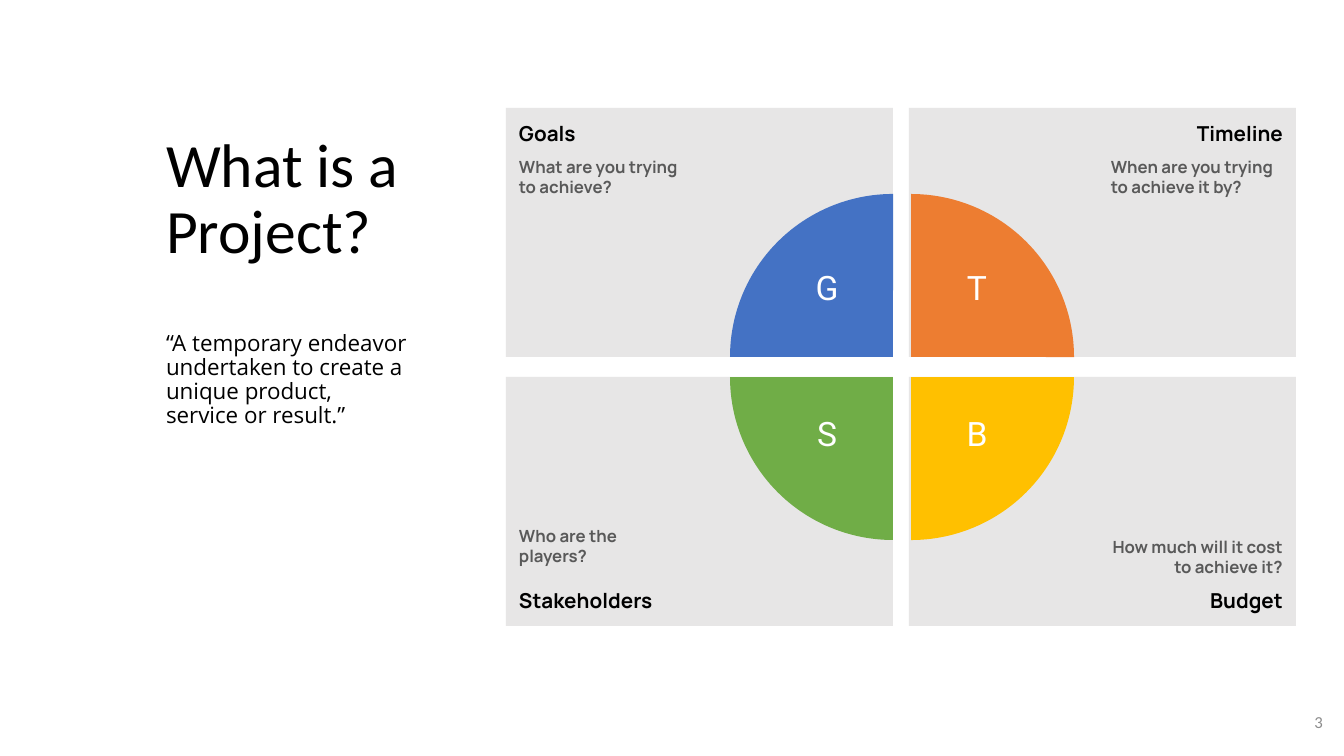
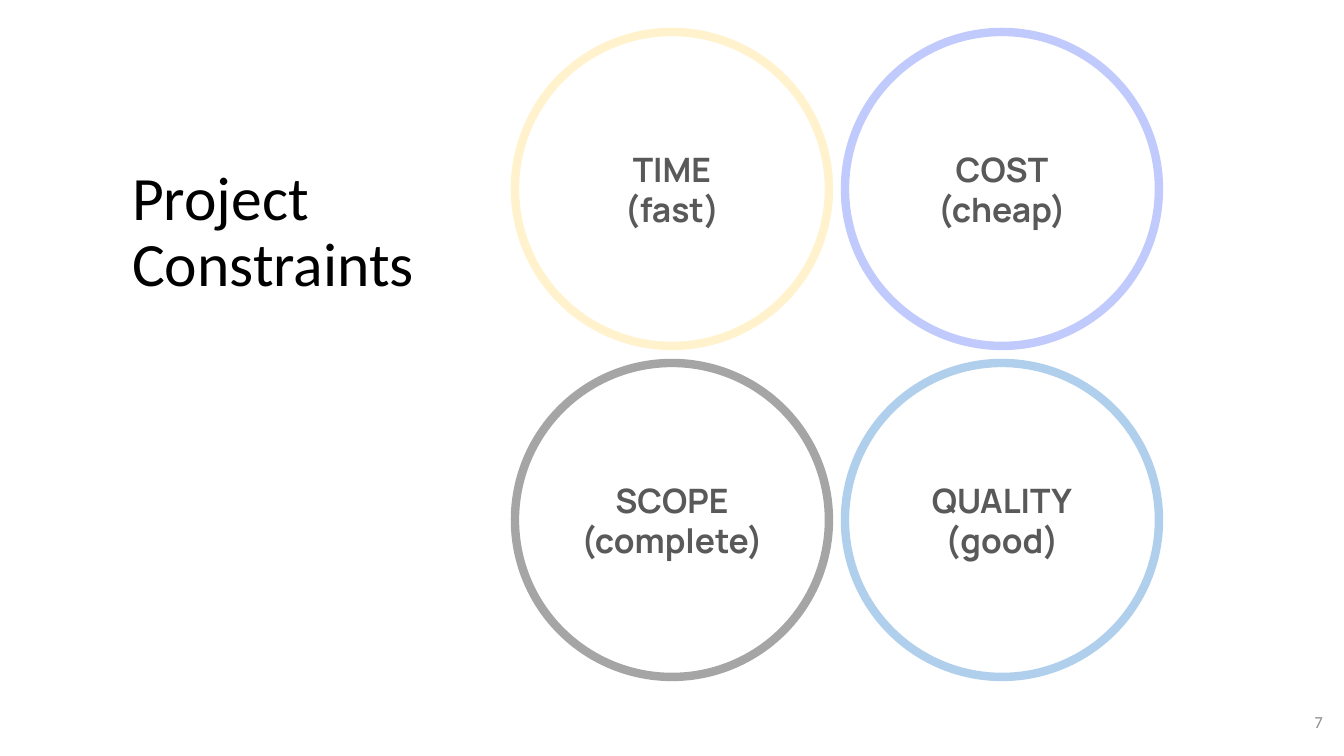
"""Build two slides on what a project is and what constrains it."""
from lxml import etree
from pptx import Presentation
from pptx.dml.color import RGBColor
from pptx.enum.shapes import MSO_SHAPE
from pptx.enum.text import MSO_ANCHOR, MSO_AUTO_SIZE, PP_ALIGN
from pptx.oxml.ns import qn
from pptx.util import Pt

RECT, PIE, OVAL = MSO_SHAPE.RECTANGLE, MSO_SHAPE.PIE, MSO_SHAPE.OVAL
TOP, MIDDLE, BOTTOM = MSO_ANCHOR.TOP, MSO_ANCHOR.MIDDLE, MSO_ANCHOR.BOTTOM
LEFT, CENTER, RIGHT = PP_ALIGN.LEFT, PP_ALIGN.CENTER, PP_ALIGN.RIGHT
FIXED = MSO_AUTO_SIZE.NONE

BLACK = RGBColor(0x00, 0x00, 0x00)
WHITE = RGBColor(0xFF, 0xFF, 0xFF)
DARK = RGBColor(0x59, 0x59, 0x59)
GREY = RGBColor(0x8C, 0x8C, 0x8C)
PALE = RGBColor(0xE7, 0xE6, 0xE6)
BLUE = RGBColor(0x44, 0x72, 0xC4)
ORANGE = RGBColor(0xED, 0x7D, 0x31)
GOLD = RGBColor(0xFF, 0xC0, 0x00)
GREEN = RGBColor(0x70, 0xAD, 0x47)
CREAM = RGBColor(0xFF, 0xF2, 0xCC)
LILAC = RGBColor(0xC0, 0xCA, 0xFC)
SILVER = RGBColor(0xA5, 0xA5, 0xA5)
SKY = RGBColor(0xAF, 0xCF, 0xEC)

WIDE, HIGH = 1344, 756
SCALE = 12192000 / WIDE
INSET = 13


def box(*sides):
    """Turn lengths in px into EMU."""
    return [round(side * SCALE) for side in sides]


def write(shape, lines, face, anchor=TOP, pads=(INSET,) * 4):
    """Fill a shape with (text, size, colour, bold, align, before, after) lines."""
    frame = shape.text_frame
    frame.word_wrap = True
    frame.auto_size = FIXED
    frame.vertical_anchor = anchor
    (frame.margin_left, frame.margin_top,
     frame.margin_right, frame.margin_bottom) = box(*pads)
    frame.text = "\n".join(line[0] for line in lines)
    for para, line in zip(frame.paragraphs, lines):
        _, size, color, bold, para.alignment, before, after = line
        para.space_before, para.space_after = Pt(before), Pt(after)
        font = para.font
        font.name, font.size, font.bold = face, Pt(size), bold
        font.color.rgb = color


deck = Presentation()
deck.slide_width, deck.slide_height = box(WIDE, HIGH)

pages = []
for layout, title, place, number in (
    (1, "What is a Project?", (153, 121, 270, 197), "3"),
    (5, "Project Constraints", (119, 154, 322, 280), "7"),
):
    slide = deck.slides.add_slide(deck.slide_layouts[layout])
    head = slide.shapes.title
    head.left, head.top, head.width, head.height = box(*place)
    write(head, [(title, 44, BLACK, False, LEFT, 0, 0)], "Calibri")
    head.text_frame.paragraphs[0].line_spacing = 0.9
    foot = slide.shapes.add_textbox(*box(1255, 699, 81, 57))
    write(foot, [(number, 12, GREY, False, RIGHT, 0, 0)], "Calibri")
    pages.append(slide)
first, second = pages

quote = first.placeholders[1]
quote.left, quote.top, quote.width, quote.height = box(153, 319, 270, 274)
words = "“A temporary endeavor undertaken to create a unique product, service or result.”"
write(quote, [(words, 16, BLACK, False, LEFT, 0, 0)], "Open Sans")
para = quote.text_frame.paragraphs[0]
para.line_spacing = 0.9
props = para._p.get_or_add_pPr()
props.set("marL", "0")
props.set("indent", "0")
etree.SubElement(props, qn("a:buNone")) if props.find(qn("a:defRPr")) is None else \
    props.find(qn("a:defRPr")).addprevious(etree.Element(qn("a:buNone")))

panels = (
    (0, 0, TOP, (("Goals", 14.7, BLACK, True, LEFT, 0, 0),
                 ("What are you trying to achieve?", 12, DARK, True, LEFT, 8, 8))),
    (1, 0, TOP, (("Timeline", 14.7, BLACK, True, RIGHT, 0, 0),
                 ("When are you trying to achieve it by?", 12, DARK, True, LEFT, 8, 8))),
    (0, 1, BOTTOM, (("Who are the\vplayers?", 12, DARK, True, LEFT, 8, 8),
                    ("Stakeholders", 14.7, BLACK, True, LEFT, 8, 8))),
    (1, 1, BOTTOM, (("How much will it cost to achieve it?", 12, DARK, True, RIGHT, 0, 0),
                    ("Budget", 14.7, BLACK, True, RIGHT, 8, 8))),
)
for col, row, anchor, lines in panels:
    panel = first.shapes.add_shape(RECT, *box(506 + 403 * col, 108 + 269 * row, 387, 249))
    panel.shadow.inherit = False
    panel.fill.solid()
    panel.fill.fore_color.rgb = PALE
    panel.line.fill.background()
    pads = (202, INSET, INSET, INSET) if col else (INSET, INSET, 202, INSET)
    write(panel, lines, "Manrope", anchor, pads)

wedges = (("G", BLUE, 0, 0), ("T", ORANGE, 1, 0), ("B", GOLD, 1, 1), ("S", GREEN, 0, 1))
for turn, (_, color, col, row) in enumerate(wedges):
    wedge = first.shapes.add_shape(PIE, *box(730 + 18 * col, 194 + 20 * row, 326, 326))
    wedge.adjustments[0], wedge.adjustments[1] = 108, 162
    wedge.rotation = 90 * turn
    wedge.shadow.inherit = False
    wedge.fill.solid()
    wedge.fill.fore_color.rgb = color
    wedge.line.fill.background()
for letter, _, col, row in wedges:
    label = first.shapes.add_textbox(*box(785 + 150 * col, 262 + 146 * row, 84, 60))
    write(label, [(letter, 24, WHITE, False, CENTER, 0, 0)], "Roboto", pads=(10, 5, 10, 5))

limits = (
    ("TIME", "(fast)", CREAM, 0, 0),
    ("COST", "(cheap)", LILAC, 1, 0),
    ("QUALITY", "(good)", SKY, 1, 1),
    ("SCOPE", "(complete)", SILVER, 0, 1),
)
for name, goal, color, col, row in limits:
    ring = second.shapes.add_shape(OVAL, *box(515 + 330 * col, 32 + 331 * row, 314, 314))
    ring.shadow.inherit = False
    ring.fill.background()
    ring.line.color.rgb = color
    ring.line.width = Pt(6)
    lines = [(text, 24, DARK, True, CENTER, 0, 0) for text in (name, goal)]
    write(ring, lines, "Manrope", MIDDLE)

deck.save("out.pptx")
